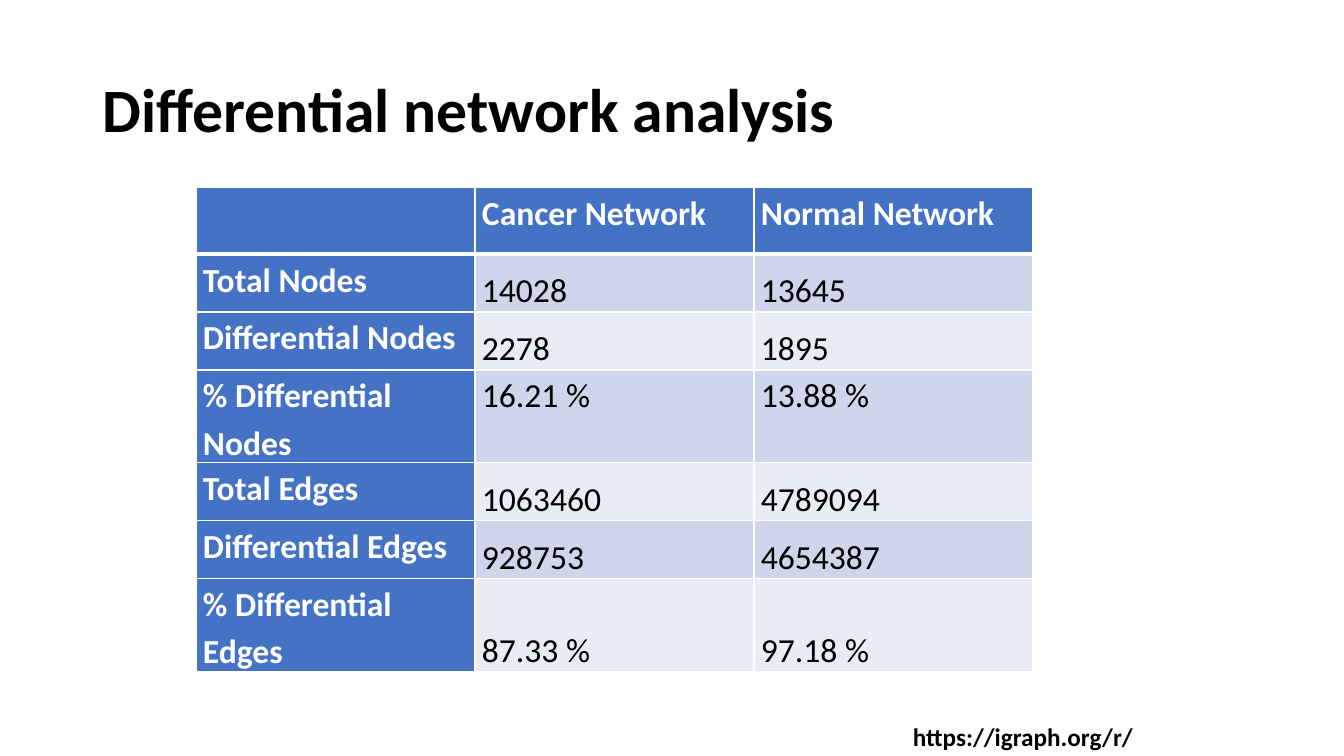
import pptx
import pptx.dml.color
import pptx.enum.text
import pptx.oxml
import pptx.oxml.ns
import pptx.util

PX = 12700 * 5 / 7
THEME = {
    "font": "Calibri",
    "black": "000000",
    "white": "FFFFFF",
    "header": "4472C4",
    "bands": ["E9EBF5", "CFD5EA"],
    "title_size": 44,
    "table_size": 24,
    "link_size": 18,
}
ANCHOR = pptx.enum.text.MSO_ANCHOR


def px(length):
    return pptx.util.Emu(round(length * PX * 1))


def write_text(frame, text, size, color="black", bold=True, line_spacing=None):
    paragraph = frame.paragraphs[0]
    paragraph.line_spacing = line_spacing
    run = paragraph.add_run()
    run.text = text
    run.font.name = THEME["font"]
    run.font.size = pptx.util.Pt(THEME[size])
    run.font.bold = bold
    run.font.color.rgb = pptx.dml.color.RGBColor.from_string(THEME[color])


presentation = pptx.Presentation()
presentation.slide_width = px(1344)
presentation.slide_height = px(756)
slide = presentation.slides.add_slide(presentation.slide_layouts[6])

title = slide.shapes.add_textbox(px(93), px(40), px(1159), px(146)).text_frame
title.word_wrap = True
title.vertical_anchor = ANCHOR.MIDDLE
write_text(title, "Differential network analysis", "title_size", line_spacing=0.9)

rows = [
    ["", "Cancer Network", "Normal Network"],
    ["Total Nodes", "14028", "13645"],
    ["Differential Nodes", "2278", "1895"],
    ["% Differential Nodes", "16.21 %", "13.88 %"],
    ["Total Edges", "1063460", "4789094"],
    ["Differential Edges", "928753", "4654387"],
    ["% Differential Edges", "87.33 %", "97.18 %"],
]
row_heights = [67, 58, 58, 87, 58, 58, 87]
top_aligned_row = 3

table = slide.shapes.add_table(
    len(rows), 3, px(196), px(187), px(3 * 279), px(sum(row_heights))
).table
table.horz_banding = False
for column in table.columns:
    column.width = px(279)

for row_index, values in enumerate(rows):
    table.rows[row_index].height = px(row_heights[row_index])
    for column_index, value in enumerate(values):
        cell = table.cell(row_index, column_index)
        is_header = row_index == 0 or column_index == 0
        fill = THEME["header"] if is_header else THEME["bands"][row_index % 2]
        cell.fill.solid()
        cell.fill.fore_color.rgb = pptx.dml.color.RGBColor.from_string(fill)
        cell.margin_left = cell.margin_right = px(7)
        cell.margin_top = cell.margin_bottom = 0
        at_top = is_header or row_index == top_aligned_row
        cell.vertical_anchor = ANCHOR.TOP if at_top else ANCHOR.BOTTOM
        if value:
            write_text(
                cell.text_frame, value, "table_size",
                color="white" if is_header else "black",
                bold=is_header, line_spacing=1.15,
            )
        for position, side in enumerate("LRTB"):
            thick = (row_index, side) in [(0, "B"), (1, "T")]
            border = pptx.oxml.parse_xml(
                f'<a:ln{side} {pptx.oxml.ns.nsdecls("a")} w="{pptx.util.Pt(3 if thick else 1)}">'
                f'<a:solidFill><a:srgbClr val="{THEME["white"]}"/></a:solidFill></a:ln{side}>'
            )
            cell._tc.get_or_add_tcPr().insert(position, border)

link = slide.shapes.add_textbox(px(903), px(716), px(298), px(40)).text_frame
link.word_wrap = True
link.auto_size = pptx.enum.text.MSO_AUTO_SIZE.SHAPE_TO_FIT_TEXT
write_text(link, "https://igraph.org/r/", "link_size")

presentation.save("out.pptx")
